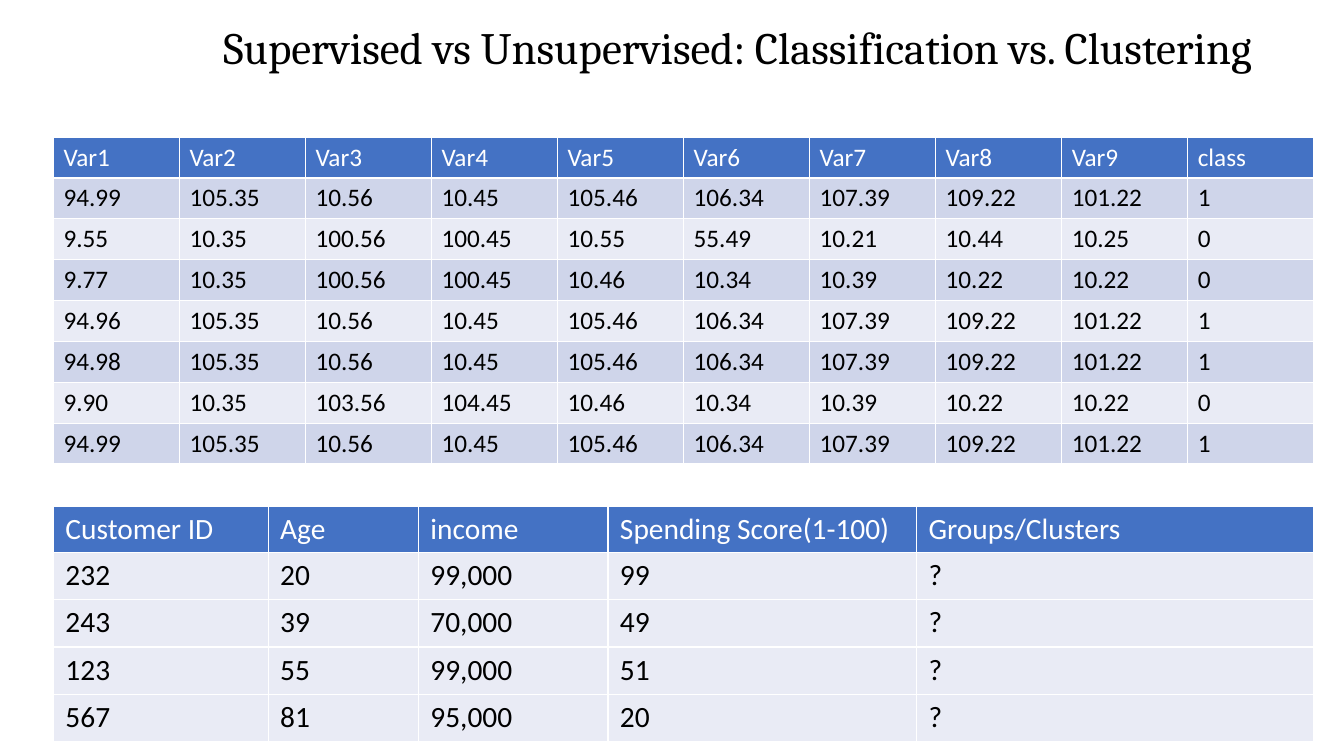
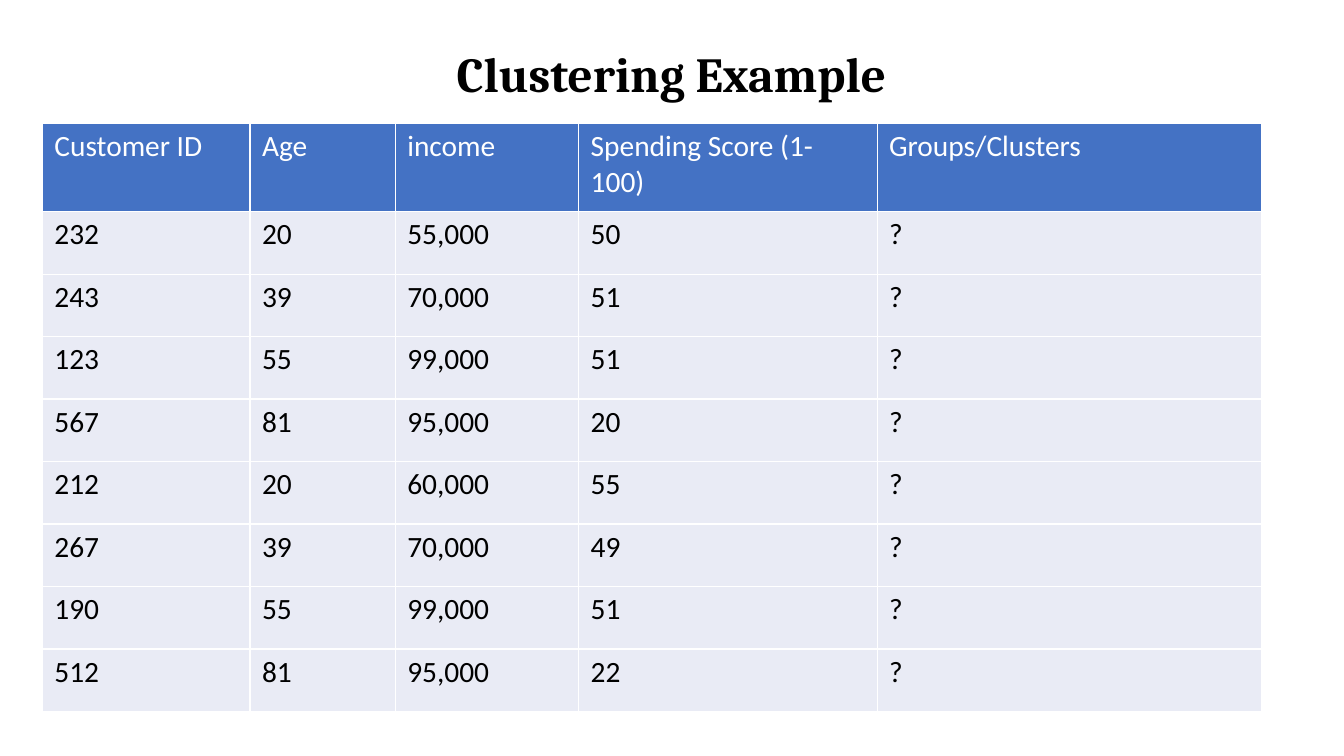
from dataclasses import dataclass

from lxml import etree
from pptx import Presentation
from pptx import util as u
from pptx.dml.color import RGBColor
from pptx.enum import text
from pptx.oxml.ns import qn

PX = 9144  # EMU per px, 100 px to the inch


def px(length):
    return u.Emu(length * PX)


@dataclass(frozen=True)
class Theme:
    ink: str = "000000"
    paper: str = "FFFFFF"
    header: str = "4472C4"
    band_dark: str = "CFD5EA"
    band_light: str = "E9EBF5"
    title_font: str = "Cambria"
    body_font: str = "Calibri"
    title_size: int = 32
    heading_size: int = 35
    sample_size: int = 18
    customer_size: int = 21
    border_pt: int = 1


def write(frame, words, *, font, size, color, bold=False,
          align=text.PP_ALIGN.LEFT, spacing=None):
    """Put one formatted paragraph into a text frame."""
    frame.word_wrap = True
    paragraph = frame.paragraphs[0]
    paragraph.alignment = align
    if spacing:
        paragraph.line_spacing = spacing
    run = paragraph.add_run()
    run.text = words
    run.font.name = font
    run.font.size = u.Pt(size)
    run.font.bold = bold
    run.font.color.rgb = RGBColor.from_string(color)


class Deck:
    def __init__(self, theme):
        self.theme = theme
        self.prs = Presentation()
        self.prs.slide_width, self.prs.slide_height = px(1333), px(750)
        self.slide = None

    def new_slide(self):
        self.slide = self.prs.slides.add_slide(self.prs.slide_layouts[6])

    def title(self, words, left, top, width, height,
              anchor=text.MSO_ANCHOR.TOP, **style):
        box = self.slide.shapes.add_textbox(*map(px, (left, top, width, height)))
        box.text_frame.vertical_anchor = anchor
        write(box.text_frame, words, font=self.theme.title_font,
              color=self.theme.ink, align=text.PP_ALIGN.CENTER, **style)

    def table(self, records, left, top, widths, header_height, row_height,
              size, inset, banded=False):
        heights = [header_height] + [row_height] * (len(records) - 1)
        grid = self.slide.shapes.add_table(
            len(records), len(widths),
            *map(px, (left, top, sum(widths), sum(heights)))).table
        grid.horz_banding = banded
        for column, width in zip(grid.columns, widths):
            column.width = px(width)
        for r, record in enumerate(records):
            grid.rows[r].height = px(heights[r])
            for c, value in enumerate(record):
                self.cell(grid.cell(r, c), value, r, size, inset, banded)

    def cell(self, cell, value, row, size, inset, banded):
        theme = self.theme
        if row == 0:
            fill, color = theme.header, theme.paper
        else:
            dark = banded and row % 2 == 1
            fill, color = theme.band_dark if dark else theme.band_light, theme.ink
        cell.margin_left = cell.margin_right = px(inset)
        cell.margin_top = cell.margin_bottom = px(5)
        self.borders(cell)
        cell.fill.solid()
        cell.fill.fore_color.rgb = RGBColor.from_string(fill)
        write(cell.text_frame, value, font=theme.body_font, size=size, color=color)

    def borders(self, cell):
        properties = cell._tc.get_or_add_tcPr()
        for side in ("a:lnL", "a:lnR", "a:lnT", "a:lnB"):
            line = etree.SubElement(properties, qn(side),
                                    w=str(u.Pt(self.theme.border_pt)))
            paint = etree.SubElement(line, qn("a:solidFill"))
            etree.SubElement(paint, qn("a:srgbClr"), val=self.theme.paper)


SAMPLES = [line.split() for line in (
    "Var1 Var2 Var3 Var4 Var5 Var6 Var7 Var8 Var9 class",
    "94.99 105.35 10.56 10.45 105.46 106.34 107.39 109.22 101.22 1",
    "9.55 10.35 100.56 100.45 10.55 55.49 10.21 10.44 10.25 0",
    "9.77 10.35 100.56 100.45 10.46 10.34 10.39 10.22 10.22 0",
    "94.96 105.35 10.56 10.45 105.46 106.34 107.39 109.22 101.22 1",
    "94.98 105.35 10.56 10.45 105.46 106.34 107.39 109.22 101.22 1",
    "9.90 10.35 103.56 104.45 10.46 10.34 10.39 10.22 10.22 0",
    "94.99 105.35 10.56 10.45 105.46 106.34 107.39 109.22 101.22 1",
)]


def customers(score_label, *lines):
    """Customer records under their header, each with an unknown group."""
    header = ["Customer ID", "Age", "income", score_label, "Groups/Clusters"]
    return [header] + [line.split() + ["?"] for line in lines]


def main():
    theme = Theme()
    deck = Deck(theme)

    # Labelled samples above unlabelled customers
    deck.new_slide()
    deck.table(SAMPLES, 53, 136, [125] * 10, 40, 40,
               size=theme.sample_size, inset=10, banded=True)
    deck.title("Supervised vs Unsupervised: Classification vs. Clustering",
               203, 15, 1058, 172, size=theme.title_size)
    deck.table(customers("Spending Score(1-100)",
                         "232 20 99,000 99",
                         "243 39 70,000 49",
                         "123 55 99,000 51",
                         "567 81 95,000 20"),
               53, 502, [213, 149, 188, 306, 394], 46, 47,
               size=theme.customer_size, inset=12)

    # Clustering example
    deck.new_slide()
    deck.title("Clustering Example", 91, 31, 1150, 91,
               anchor=text.MSO_ANCHOR.MIDDLE, size=theme.heading_size,
               bold=True, spacing=0.9)
    deck.table(customers("Spending Score (1-100)",
                         "232 20 55,000 50",
                         "243 39 70,000 51",
                         "123 55 99,000 51",
                         "567 81 95,000 20",
                         "212 20 60,000 55",
                         "267 39 70,000 49",
                         "190 55 99,000 51",
                         "512 81 95,000 22"),
               42, 122, [206, 144, 182, 296, 381], 88, 62,
               size=theme.customer_size, inset=12)

    deck.prs.save("out.pptx")


if __name__ == "__main__":
    main()
